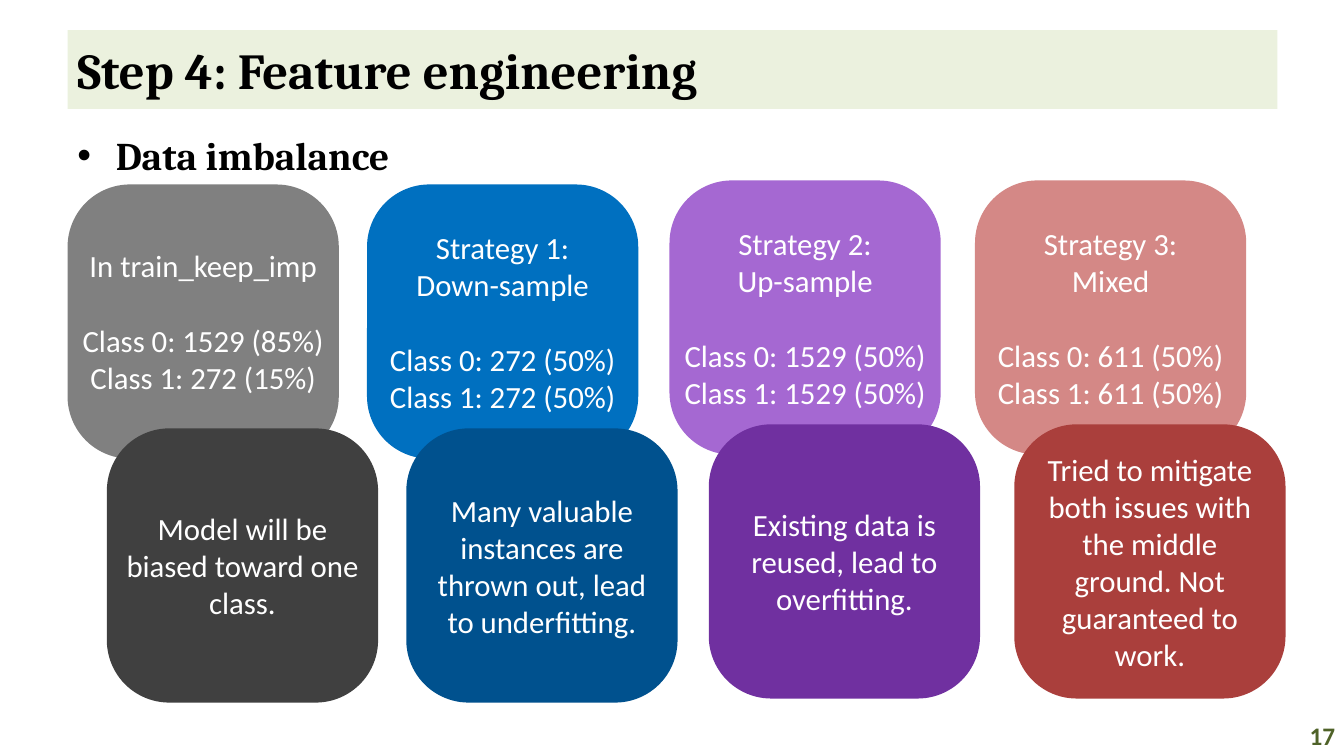
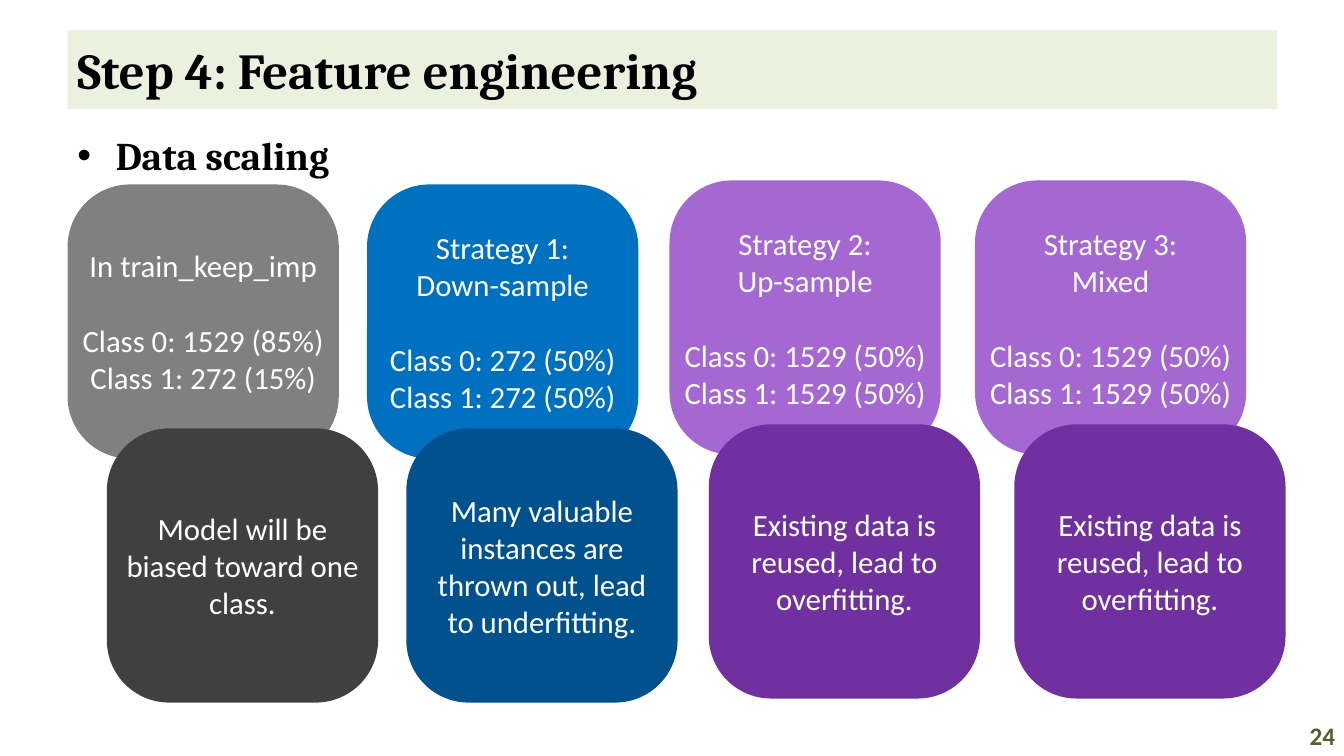
from dataclasses import dataclass
from pptx import Presentation
from pptx.dml.color import RGBColor
from pptx.enum.shapes import MSO_SHAPE
from pptx.enum.text import MSO_ANCHOR, PP_ALIGN
from pptx.oxml import parse_xml
from pptx.oxml.ns import nsdecls
from pptx.util import Inches, Pt


@dataclass(frozen=True)
class Theme:
    band: str = "EBF1DE"
    ink: str = "000000"
    white: str = "FFFFFF"
    page: str = "4F6228"
    grey: tuple = ("808080", "404040")
    blue: tuple = ("0070C0", "00518E")
    purple: tuple = ("A568D2", "7030A0")
    red: tuple = ("D48886", "AA3F3C")
    serif: str = "Cambria"
    sans: str = "Calibri"
    title: int = 36
    head: int = 28
    card: int = 22
    foot: int = 18
    gap: int = 27


T = Theme()


def add_bullet(para):
    props = para._p.get_or_add_pPr()
    props.set("marL", str(Inches(0.38)))
    props.set("indent", str(-Inches(0.38)))
    props.append(parse_xml(f'<a:buFont {nsdecls("a")} typeface="Arial"/>'))
    props.append(parse_xml(f'<a:buChar {nsdecls("a")} char="•"/>'))


def write(shape, text, size, color, font=T.sans, bold=False, align=PP_ALIGN.LEFT,
          anchor=MSO_ANCHOR.MIDDLE, side=0.1, wrap=True, bullet=False, gap_at=None):
    """Fill a shape with one paragraph per line; gap_at names the line set apart."""
    frame = shape.text_frame
    frame.word_wrap = wrap
    frame.vertical_anchor = anchor
    frame.margin_left = frame.margin_right = Inches(side)
    frame.margin_top = frame.margin_bottom = Inches(0.05)
    for i, line in enumerate(text.split("\n")):
        para = frame.paragraphs[0] if i == 0 else frame.add_paragraph()
        para.alignment = align
        if i and i == gap_at:
            para.space_before = Pt(T.gap)
        if bullet:
            add_bullet(para)
        run = para.add_run()
        run.text = line
        run.font.name, run.font.size, run.font.bold = font, Pt(size), bold
        run.font.color.rgb = RGBColor.from_string(color)


def add_box(slide, kind, box, fill):
    shape = slide.shapes.add_shape(kind, *map(Inches, box))
    shape.shadow.inherit = False
    shape.fill.solid()
    shape.fill.fore_color.rgb = RGBColor.from_string(fill)
    shape.line.fill.background()
    return shape


def add_label(slide, box, text, size, color, **style):
    write(slide.shapes.add_textbox(*map(Inches, box)), text, size, color, **style)


def add_frame(slide, head, page):
    # Title band, bulleted heading and page number
    band = add_box(slide, MSO_SHAPE.RECTANGLE, (0.67, 0.3, 12, 0.78), T.band)
    write(band, "Step 4: Feature engineering", T.title, T.ink, font=T.serif, bold=True)
    add_label(slide, (0.67, 1.25, 12, 5.85), head, T.head, T.ink, font=T.serif,
              bold=True, anchor=MSO_ANCHOR.TOP, bullet=True)
    add_label(slide, (12.67, 7.1, 0.67, 0.4), str(page), T.foot, T.page,
              bold=True, align=PP_ALIGN.RIGHT)


def add_card(slide, left, top, text, fill, **style):
    card = add_box(slide, MSO_SHAPE.ROUNDED_RECTANGLE, (left, top, 2.69, 2.72), fill)
    card.adjustments[0] = 0.23
    write(card, text, T.card, T.white, align=PP_ALIGN.CENTER, side=0, **style)


def add_pair(slide, left, top, name, counts, note, tones):
    # Counts card behind, remark card overlapping it
    back, front = tones
    add_card(slide, left, top, f"{name}\n{counts}", back, wrap=False,
             gap_at=len(name.split("\n")))
    add_card(slide, left + 0.39, top + 2.42, note, front)


SPOTS = [(0.67, 1.83), (3.64, 1.83), (6.64, 1.79), (9.67, 1.79)]
EVEN = "Class 0: 1529 (50%)\nClass 1: 1529 (50%)"
REUSE = "Existing data is reused, lead to overfitting."
SHARED = [
    ("In train_keep_imp", "Class 0: 1529 (85%)\nClass 1: 272 (15%)",
     "Model will be biased toward one class.", T.grey),
    ("Strategy 1:\nDown-sample", "Class 0: 272 (50%)\nClass 1: 272 (50%)",
     "Many valuable instances are thrown out, lead to underfitting.", T.blue),
    ("Strategy 2:\nUp-sample", EVEN, REUSE, T.purple),
]
MIXED = "Strategy 3:\nMixed"
SLIDES = [
    ("Data imbalance", 17,
     (MIXED, "Class 0: 611 (50%)\nClass 1: 611 (50%)",
      "Tried to mitigate both issues with the middle ground. "
      "Not guaranteed to work.", T.red)),
    ("Data scaling", 24, (MIXED, EVEN, REUSE, T.purple)),
]


def add_page(deck, head, page, last):
    slide = deck.slides.add_slide(deck.slide_layouts[6])
    add_frame(slide, head, page)
    for (left, top), pair in zip(SPOTS, SHARED + [last]):
        add_pair(slide, left, top, *pair)


def main():
    deck = Presentation()
    deck.slide_width, deck.slide_height = Inches(13.33), Inches(7.5)
    for head, page, last in SLIDES:
        add_page(deck, head, page, last)
    deck.save("out.pptx")


if __name__ == "__main__":
    main()
